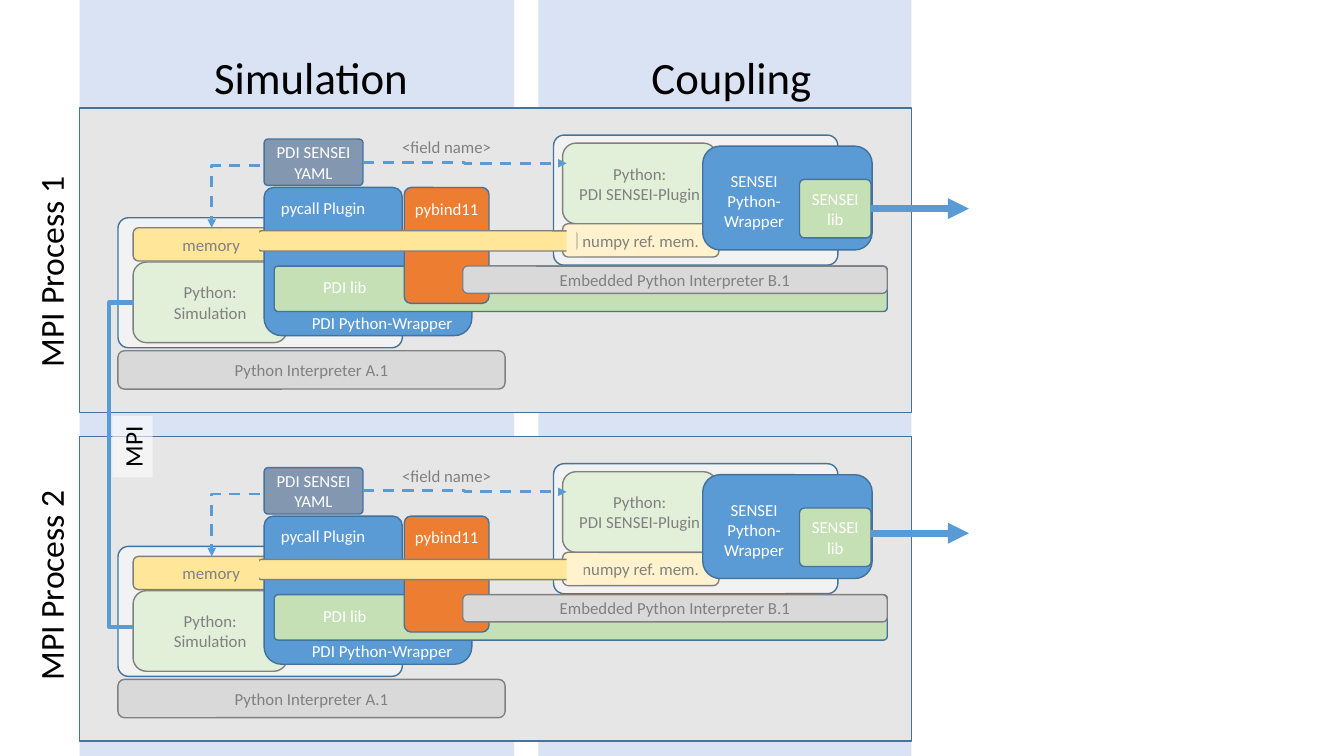
from dataclasses import dataclass

from lxml import etree
from pptx import Presentation
from pptx.dml.color import RGBColor
from pptx.enum.dml import MSO_LINE
from pptx.enum.shapes import MSO_CONNECTOR, MSO_SHAPE
from pptx.enum.text import MSO_ANCHOR, PP_ALIGN
from pptx.oxml.ns import qn
from pptx.util import Inches, Pt

RECT, ROUND = MSO_SHAPE.RECTANGLE, MSO_SHAPE.ROUNDED_RECTANGLE
STRAIGHT, ELBOW = MSO_CONNECTOR.STRAIGHT, MSO_CONNECTOR.ELBOW
LEFT, CENTER, MIDDLE = PP_ALIGN.LEFT, PP_ALIGN.CENTER, MSO_ANCHOR.MIDDLE
DASH = MSO_LINE.DASH

FONT = "Calibri"
BLACK, WHITE, GRAY = "000000", "FFFFFF", "808080"
BAND, PANEL, FRAME, SILVER = "DAE3F3", "E7E6E6", "F2F2F2", "D9D9D9"
BLUE, NAVY, EDGE, SLATE = "5B9BD5", "43739E", "41719C", "8497B0"
MINT, GREEN, GOLD, CREAM = "E2F0D9", "C5E0B4", "FFE699", "FFF2CC"
ORANGE = "ED7D31"
WIDE, SMALL = 0.167, 0.081  # corner radii


@dataclass
class Box:
    left: float
    top: float
    width: float
    height: float
    fill: str
    line: str = ""
    text: str = ""
    ink: str = GRAY
    round: float = WIDE


@dataclass
class Label:
    left: float
    top: float
    width: float
    height: float
    text: str
    ink: str = WHITE
    size: int = 12
    align: PP_ALIGN = CENTER


@dataclass
class Process:
    name: str
    shift: float
    name_top: float
    arrow: float
    patch: float


PROCS = [
    Process("MPI Process 1", 0, 2.44, 2.07, 0.1),
    Process("MPI Process 2", 3.26, 5.55, 5.29, 0.17),
]

BANDS = [Box(0.79, 0, 4.31, 7.5, BAND, round=0),
         Box(5.34, 0, 3.7, 7.5, BAND, round=0)]

HEADS = [Label(2.01, 0.44, 2.15, 0.64, "Simulation", BLACK, 32),
         Label(6.35, 0.44, 1.81, 0.64, "Coupling", BLACK, 32)]

# Parts of one process, from back to front
PARTS = [
    Box(0.79, 1.07, 8.25, 3.02, PANEL, NAVY, round=0),
    Box(5.49, 1.34, 2.82, 1.29, FRAME, NAVY, round=SMALL),
    Box(1.17, 2.16, 2.82, 1.29, FRAME, NAVY, round=SMALL),
    Box(1.17, 3.48, 3.84, 0.38, SILVER, GRAY, "Python Interpreter A.1"),
    Box(1.32, 2.6, 1.53, 0.8, MINT, GRAY, "Python:\nSimulation"),
    Box(1.32, 2.26, 1.55, 0.33, GOLD, GRAY, "memory"),
    Box(2.62, 2.3, 2.06, 1.03, BLUE, EDGE),
    Label(2.78, 3.05, 2.02, 0.3, "PDI Python-Wrapper"),
    Box(2.72, 2.64, 6.08, 0.45, GREEN, NAVY, round=SMALL),
    Box(5.58, 1.42, 1.53, 0.8, MINT, GRAY, "Python:\nPDI SENSEI-Plugin"),
    Box(5.58, 2.22, 1.55, 0.33, CREAM, GRAY, "numpy ref. mem."),
    Box(6.97, 1.45, 1.68, 1.03, BLUE, EDGE),
    Box(7.93, 1.78, 0.71, 0.58, GREEN, NAVY, "SENSEI\nlib", WHITE, SMALL),
    Label(7.08, 1.54, 0.8, 0.91, "SENSEI\nPython-\nWrapper"),
    Box(2.62, 1.38, 0.98, 0.46, SLATE, NAVY, "PDI SENSEI YAML", WHITE, SMALL),
    Box(2.62, 1.86, 1.37, 0.56, BLUE, EDGE),
    Label(2.68, 1.91, 1.05, 0.3, "pycall Plugin"),
    Label(2.88, 2.7, 1.08, 0.3, "PDI lib"),
    Box(4.01, 1.86, 0.84, 1.15, ORANGE, NAVY, round=SMALL),
    Box(2.56, 2.29, 3.16, 0.2, GOLD, GRAY),
    Box(4.59, 2.64, 4.21, 0.27, SILVER, GRAY, "Embedded Python Interpreter B.1"),
    Box(2.44, 2.29, 0.13, 0.21, GOLD, round=0),
    Label(4.01, 1.92, 0.84, 0.3, "pybind11"),
    Label(3.89, 1.31, 1.1, 0.3, "<field name>", GRAY, align=LEFT),
]


def paint(color, code: str) -> None:
    color.rgb = RGBColor.from_string(code)


def write(shape, text: str, *, ink: str = GRAY, size: int = 12,
          align: PP_ALIGN = CENTER, wrap: bool = True) -> None:
    frame = shape.text_frame
    frame.word_wrap = wrap
    frame.vertical_anchor = MIDDLE
    para = frame.paragraphs[0]
    para.text = text
    para.alignment = align
    for run in para.runs:
        run.font.name = FONT
        run.font.size = Pt(size)
        paint(run.font.color, ink)


def add_box(slide, box: Box, shift: float = 0):
    kind = ROUND if box.round else RECT
    shape = slide.shapes.add_shape(
        kind, Inches(box.left), Inches(box.top + shift),
        Inches(box.width), Inches(box.height))
    shape.shadow.inherit = False
    if box.round:
        shape.adjustments[0] = box.round
    shape.fill.solid()
    paint(shape.fill.fore_color, box.fill)
    if box.line:
        paint(shape.line.color, box.line)
        shape.line.width = Pt(1)
    else:
        shape.line.fill.background()
    if box.text:
        write(shape, box.text, ink=box.ink)
    return shape


def add_label(slide, label: Label, shift: float = 0) -> None:
    shape = slide.shapes.add_textbox(
        Inches(label.left), Inches(label.top + shift),
        Inches(label.width), Inches(label.height))
    write(shape, label.text, ink=label.ink, size=label.size,
          align=label.align, wrap=False)


def add_side(slide, box: Box, text: str, size: int) -> None:
    """Add upright text on a half-clear white ground."""
    shape = add_box(slide, box)
    shape.rotation = 270
    tint = shape.fill._xPr.find(qn("a:solidFill"))[0]
    etree.SubElement(tint, qn("a:alpha"), val="58000")
    write(shape, text, ink=BLACK, size=size, align=LEFT, wrap=False)


def add_link(slide, start: tuple, end: tuple, width: float, *,
             kind: MSO_CONNECTOR = STRAIGHT, dash: bool = False,
             head: bool = True, bend: float = 0.5, corner: bool = False) -> None:
    """Join two points; corner gives one turn, bend places the middle leg."""
    link = slide.shapes.add_connector(
        kind, *(Inches(value) for value in (*start, *end)))
    paint(link.line.color, BLUE)
    link.line.width = Pt(width)
    if dash:
        link.line.dash_style = DASH
    props = link._element.spPr
    if head:
        etree.SubElement(props.find(qn("a:ln")), qn("a:tailEnd"), type="triangle")
    etree.SubElement(props, qn("a:effectLst"))
    shape = props.find(qn("a:prstGeom"))
    if corner:
        shape.set("prst", "bentConnector2")
    elif kind == ELBOW:
        guides = shape.find(qn("a:avLst"))
        etree.SubElement(guides, qn("a:gd"), name="adj1",
                         fmla=f"val {round(bend * 100000)}")


def add_process(slide, proc: Process) -> None:
    down = proc.shift
    for part in PARTS:
        draw = add_box if isinstance(part, Box) else add_label
        draw(slide, part, down)
    add_box(slide, Box(5.62, 2.25, proc.patch, 0.29, CREAM, round=0), down)
    add_link(slide, (2.58, 1.64 + down), (2.1, 2.26 + down), 2,
             kind=ELBOW, dash=True, corner=True)
    add_link(slide, (3.6, 1.61 + down), (5.62, 1.62 + down), 2,
             kind=ELBOW, dash=True)
    add_link(slide, (8.64, proc.arrow), (9.61, proc.arrow), 5)
    add_side(slide, Box(-0.55, proc.name_top, 2.1, 0.5, WHITE, round=0),
             proc.name, 24)


def main() -> None:
    deck = Presentation()
    deck.slide_width, deck.slide_height = Inches(13.33), Inches(7.5)
    slide = deck.slides.add_slide(deck.slide_layouts[6])
    for band in BANDS:
        add_box(slide, band)
    for head in HEADS:
        add_label(slide, head)
    for proc in PROCS:
        add_process(slide, proc)
    add_link(slide, (1.33, 3), (1.32, 6.22), 3, kind=ELBOW, head=False, bend=25)
    add_side(slide, Box(1.01, 4.23, 0.61, 0.4, WHITE, round=0), "MPI", 18)
    deck.save("out.pptx")


if __name__ == "__main__":
    main()
